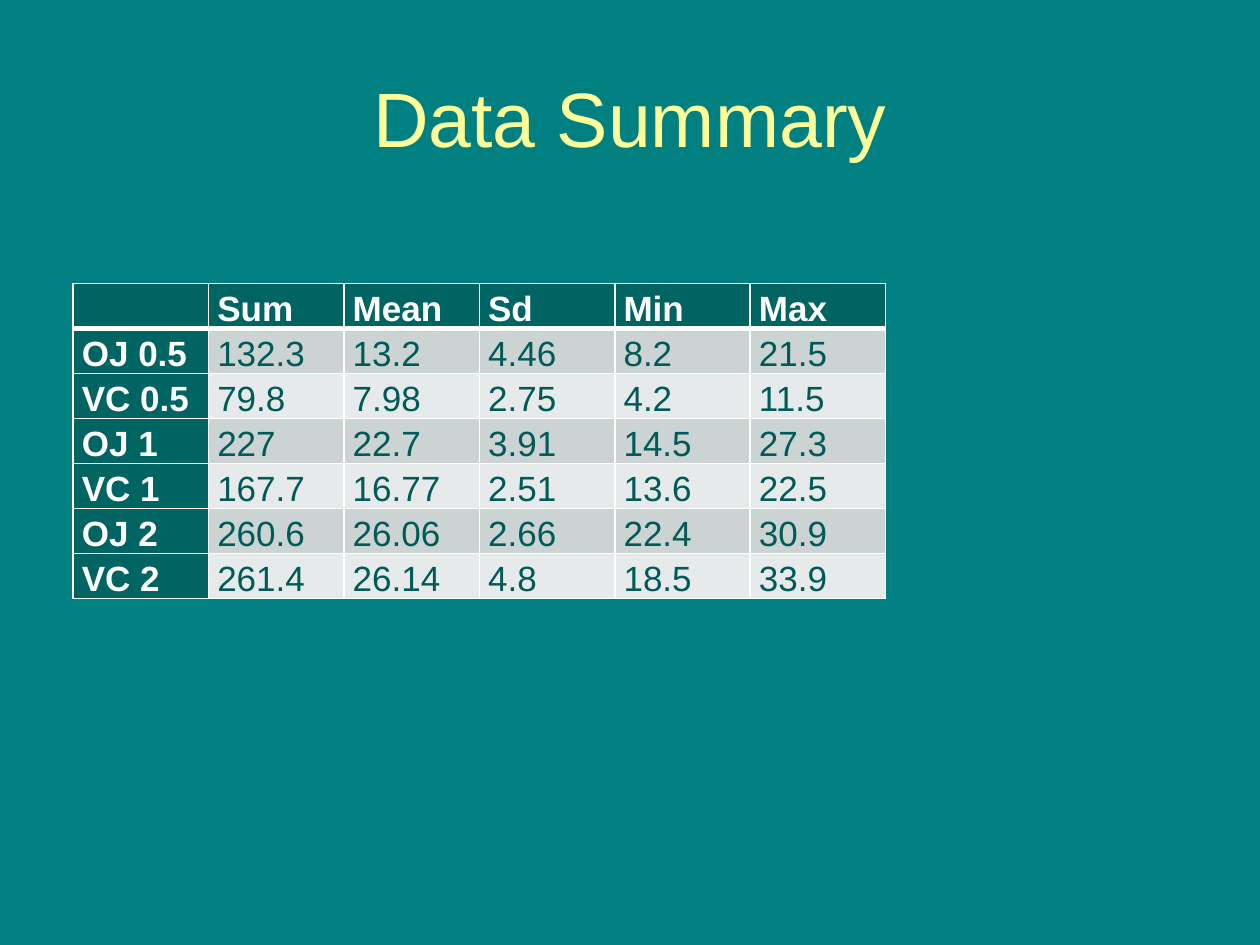
from lxml.etree import SubElement
from pptx import Presentation
from pptx.dml.color import RGBColor
from pptx.enum.text import MSO_ANCHOR, PP_ALIGN
from pptx.oxml import parse_xml
from pptx.oxml.ns import nsdecls, qn
from pptx.util import Inches, Pt

COLORS = {
    "background": "008080",
    "title": "FFFF99",
    "header": "006462",
    "odd_row": "CCD3D3",
    "even_row": "E7EAEA",
    "value": "005A58",
    "white": "FFFFFF",
}

SUMMARY = [
    ["", "Sum", "Mean", "Sd", "Min", "Max"],
    ["OJ 0.5", "132.3", "13.2", "4.46", "8.2", "21.5"],
    ["VC 0.5", "79.8", "7.98", "2.75", "4.2", "11.5"],
    ["OJ 1", "227", "22.7", "3.91", "14.5", "27.3"],
    ["VC 1", "167.7", "16.77", "2.51", "13.6", "22.5"],
    ["OJ 2", "260.6", "26.06", "2.66", "22.4", "30.9"],
    ["VC 2", "261.4", "26.14", "4.8", "18.5", "33.9"],
]


def color(name):
    return RGBColor.from_string(COLORS[name])


class SlideBuilder:
    font_name = "Arial"

    def __init__(self, presentation):
        self.slide = presentation.slides.add_slide(presentation.slide_layouts[5])
        fill = self.slide.background.fill
        fill.solid()
        fill.fore_color.rgb = color("background")

    def format_runs(self, paragraph, size, color_name, bold=False):
        for run in paragraph.runs:
            run.font.name = self.font_name
            run.font.size = Pt(size)
            run.font.bold = bold
            run.font.color.rgb = color(color_name)

    def title(self, text, left, top, width, height):
        title = self.slide.shapes.title
        title.left, title.top = Inches(left), Inches(top)
        title.width, title.height = Inches(width), Inches(height)
        frame = title.text_frame
        frame.text = text
        frame.vertical_anchor = MSO_ANCHOR.MIDDLE
        frame.paragraphs[0].alignment = PP_ALIGN.CENTER
        self.format_runs(frame.paragraphs[0], 44, "title")

    def table(self, rows, left, top, width, height):
        shape = self.slide.shapes.add_table(
            len(rows), len(rows[0]),
            Inches(left), Inches(top), Inches(width), Inches(height))
        shape.table.first_col = True
        for row, texts in enumerate(rows):
            for column, text in enumerate(texts):
                self.cell(shape.table.cell(row, column), text, row, column)

    def cell(self, cell, text, row, column):
        is_header = row == 0 or column == 0
        band = "odd_row" if row % 2 else "even_row"
        cell.fill.solid()
        cell.fill.fore_color.rgb = color("header" if is_header else band)
        cell.margin_left = cell.margin_right = Inches(0.07)
        cell.margin_top = cell.margin_bottom = 0
        cell.text_frame.text = text
        paragraph = cell.text_frame.paragraphs[0]
        paragraph.line_spacing = 1.15
        self.format_runs(paragraph, 20, "white" if is_header else "value", is_header)
        self.borders(cell, top=3 if row == 1 else 1, bottom=3 if row == 0 else 1)

    def borders(self, cell, top, bottom):
        """Draw white cell edges; the lines must precede the fill in the XML."""
        properties = cell._tc.get_or_add_tcPr()
        edges = {"lnL": 1, "lnR": 1, "lnT": top, "lnB": bottom}
        for position, (tag, points) in enumerate(edges.items()):
            line = parse_xml(f'<a:{tag} {nsdecls("a")} w="{Pt(points)}"/>')
            fill = SubElement(line, qn("a:solidFill"))
            SubElement(fill, qn("a:srgbClr"), val=COLORS["white"])
            properties.insert(position, line)


def main():
    presentation = Presentation()
    presentation.slide_width = Inches(10)
    presentation.slide_height = Inches(7.5)
    builder = SlideBuilder(presentation)
    builder.title("Data Summary", 0.5, 0.3, 9, 1.25)
    builder.table(SUMMARY, 0.58, 2.25, 6.45, 2.5)
    presentation.save("out.pptx")


if __name__ == "__main__":
    main()
